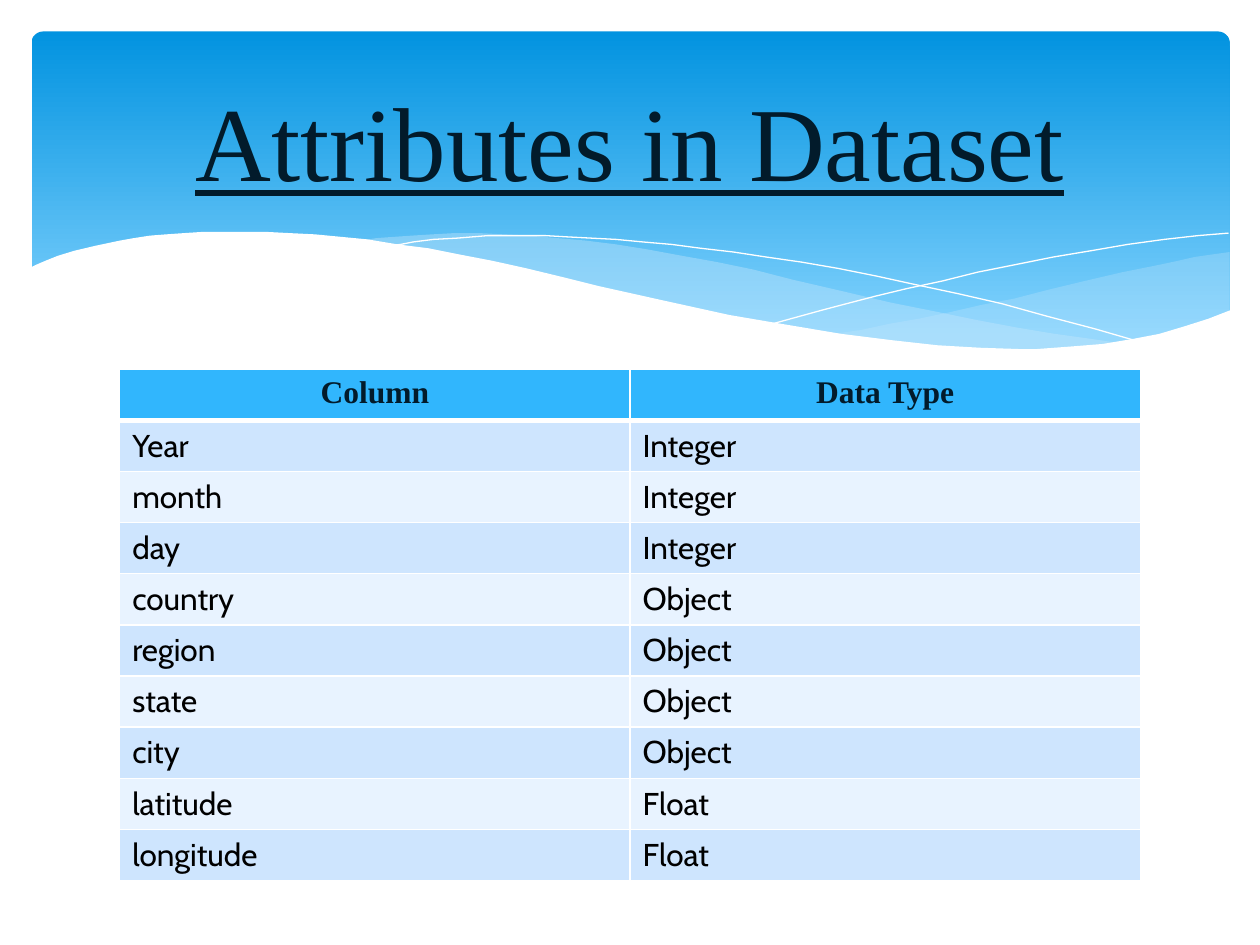
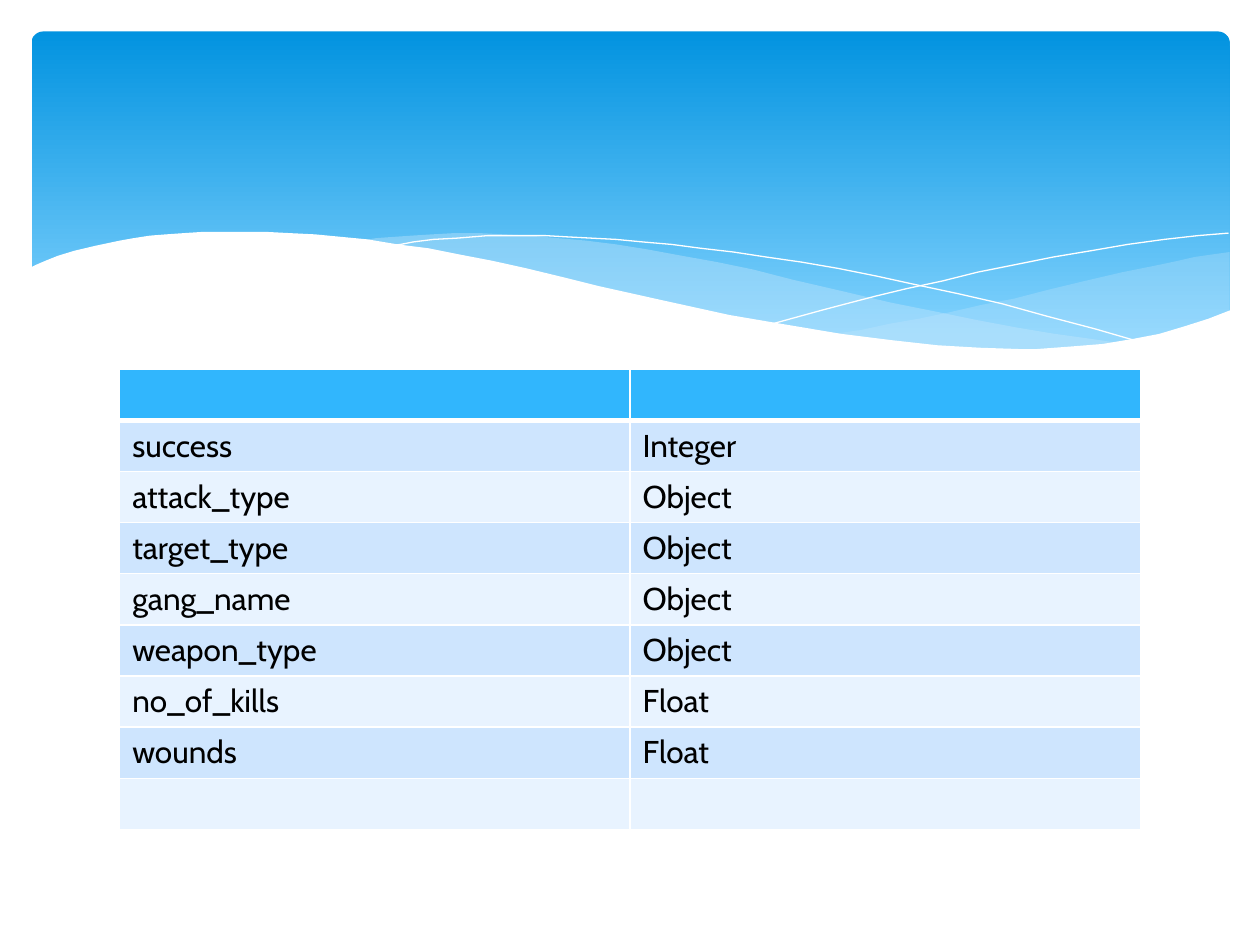
from lxml.etree import SubElement
from pptx import Presentation
from pptx.dml.color import RGBColor
from pptx.enum.shapes import MSO_SHAPE
from pptx.enum.text import MSO_ANCHOR, PP_ALIGN
from pptx.oxml.ns import qn
from pptx.util import Inches, Pt

# Content: title, header row and body rows of each slide
SLIDES = [
    {
        "title": "Attributes in Dataset",
        "header": ("Column", "Data Type"),
        "rows": [
            ("Year", "Integer"), ("month", "Integer"), ("day", "Integer"),
            ("country", "Object"), ("region", "Object"), ("state", "Object"),
            ("city", "Object"), ("latitude", "Float"), ("longitude", "Float"),
        ],
    },
    {
        "title": "",
        "header": ("", ""),
        "rows": [
            ("success", "Integer"), ("attack_type", "Object"),
            ("target_type", "Object"), ("gang_name", "Object"),
            ("weapon_type", "Object"), ("no_of_kills", "Float"),
            ("wounds", "Float"), ("", ""),
        ],
    },
]

# Shared look
COLORS = {
    "band_top": "0293E0", "band_bottom": "83D3FE", "wave": "C6E7FC",
    "white": "FFFFFF", "navy": "021B2B", "text": "000000",
    "header": "31B6FD", "odd_row": "CEE5FE", "even_row": "E8F3FF",
}
HEAD_FONT, BODY_FONT = "Times New Roman", "Cabin"
TABLE_LEFT, TABLE_TOP, COL_W, ROW_H = 0.95, 2.93, 4.05, 0.406

# Wave outlines in inches
RIGHT_WAVE = [
    (9.76, 2), (9.62, 2.02), (9.48, 2.04), (9.35, 2.07), (9.21, 2.1),
    (9.06, 2.13), (8.91, 2.16), (8.61, 2.23), (8.32, 2.3), (8.05, 2.37),
    (7.79, 2.42), (7.53, 2.48), (7.29, 2.53), (7.06, 2.57), (6.83, 2.62),
    (6.61, 2.65), (6.91, 2.69), (7.19, 2.72), (7.45, 2.75), (7.69, 2.77),
    (8.03, 2.78), (8.35, 2.77), (8.63, 2.75), (8.89, 2.72), (9.13, 2.67),
    (9.35, 2.62), (9.49, 2.57), (9.63, 2.52), (9.76, 2.47),
]
MIDDLE_WAVE = [
    (8.93, 2.73), (8.66, 2.69), (8.37, 2.65), (8.07, 2.6), (7.75, 2.54),
    (7.41, 2.47), (7.06, 2.4), (6.68, 2.31), (6.29, 2.22), (5.98, 2.14),
    (5.69, 2.08), (5.41, 2.03), (5.14, 1.98), (4.89, 1.94), (4.65, 1.91),
    (4.42, 1.89), (4.2, 1.87), (3.99, 1.86), (3.8, 1.85), (3.61, 1.85),
    (3.44, 1.86), (3.28, 1.87), (3.13, 1.88), (2.99, 1.89), (2.86, 1.91),
    (3.23, 1.96), (3.62, 2.03), (4.04, 2.11), (4.49, 2.22), (4.91, 2.32),
    (5.3, 2.4), (5.66, 2.48), (6.01, 2.55), (6.34, 2.61), (6.65, 2.66),
    (6.95, 2.7), (7.22, 2.74), (7.48, 2.76), (7.73, 2.77), (7.96, 2.78),
    (8.28, 2.78), (8.57, 2.77), (8.76, 2.75), (8.93, 2.73),
]
FALLING_LINE = [
    (3.09, 1.95), (3.18, 1.94), (3.28, 1.92), (3.44, 1.9), (3.63, 1.89),
    (3.87, 1.87), (4.16, 1.87), (4.33, 1.87), (4.5, 1.88), (4.69, 1.89),
    (4.89, 1.9), (5.1, 1.92), (5.33, 1.94), (5.56, 1.97), (5.82, 2),
    (6.08, 2.04), (6.36, 2.08), (6.65, 2.13), (6.95, 2.19), (7.27, 2.26),
    (7.6, 2.33), (7.95, 2.41), (8.31, 2.51), (8.69, 2.61), (9.07, 2.72),
]
RISING_LINE = [
    (6.13, 2.57), (6.24, 2.54), (6.53, 2.46), (6.72, 2.41), (6.95, 2.35),
    (7.2, 2.29), (7.48, 2.23), (7.76, 2.16), (8.06, 2.1), (8.36, 2.04),
    (8.66, 1.99), (8.95, 1.94), (9.24, 1.9), (9.51, 1.87), (9.75, 1.85),
]
FRONT_WAVE = [
    (9.77, 2.46), (9.59, 2.53), (9.4, 2.59), (9.2, 2.65), (8.99, 2.69),
    (8.75, 2.73), (8.5, 2.75), (8.23, 2.77), (8.09, 2.77), (7.78, 2.76),
    (7.44, 2.74), (7.08, 2.7), (6.68, 2.65), (6.26, 2.58), (5.79, 2.5),
    (5.29, 2.39), (4.75, 2.27), (4.47, 2.2), (4.18, 2.13), (3.91, 2.07),
    (3.65, 2.02), (3.4, 1.97), (3.16, 1.94), (2.92, 1.9), (2.71, 1.88),
    (2.5, 1.86), (2.3, 1.85), (2.11, 1.84), (1.77, 1.84), (1.61, 1.84),
    (1.46, 1.85), (1.32, 1.86), (1.19, 1.87), (1.06, 1.89), (0.95, 1.91),
    (0.76, 1.95), (0.59, 1.99), (0.46, 2.03), (0.36, 2.07), (0.29, 2.1),
    (0.23, 2.13), (0.23, 3.29), (9.77, 3.29),
]
# Outline, fill colour, opacity in percent; a wave without fill is a hairline
WAVES = [
    (RIGHT_WAVE, "wave", 29), (MIDDLE_WAVE, "wave", 40),
    (FALLING_LINE, None, 100), (RISING_LINE, None, 100),
    (FRONT_WAVE, "white", 100),
]


def rgb(name):
    return RGBColor.from_string(COLORS[name])


def add_run(p, text, font, size, color, bold=False, underline=False):
    r = p.add_run()
    r.text = text
    r.font.name, r.font.size = font, Pt(size)
    r.font.bold, r.font.underline = bold, underline
    r.font.color.rgb = rgb(color)


def add_wave(s, points, fill, opacity):
    points = [(Inches(x), Inches(y)) for x, y in points]
    fb = s.shapes.build_freeform(*points[0])
    fb.add_line_segments(points[1:], close=fill is not None)
    sp = fb.convert_to_shape()
    sp.shadow.inherit = False
    if fill is None:
        sp.fill.background()
        sp.line.color.rgb = rgb("white")
        sp.line.width = Pt(0)
        return
    sp.fill.solid()
    sp.fill.fore_color.rgb = rgb(fill)
    sp.line.fill.background()
    if opacity < 100:
        color = sp._element.spPr.find(qn("a:solidFill"))[0]
        SubElement(color, qn("a:alpha"), val=str(opacity * 1000))


def add_band(s):
    sp = s.shapes.add_shape(MSO_SHAPE.ROUNDED_RECTANGLE, Inches(0.25),
                            Inches(0.25), Inches(9.51), Inches(2.7))
    sp.adjustments[0] = 0.034
    sp.shadow.inherit = False
    sp.line.fill.background()
    sp.fill.gradient()
    sp.fill.gradient_angle = 270
    stops = zip(sp.fill.gradient_stops, ("band_top", "band_bottom"), (0, 0.9))
    for stop, color, position in stops:
        stop.color.rgb = rgb(color)
        stop.position = position
    for wave in WAVES:
        add_wave(s, *wave)


def add_title(s, text):
    tf = s.shapes.add_textbox(Inches(0.5), Inches(0.42),
                              Inches(9), Inches(1.37)).text_frame
    tf.word_wrap = True
    tf.vertical_anchor = MSO_ANCHOR.MIDDLE
    p = tf.paragraphs[0]
    p.alignment = PP_ALIGN.CENTER
    add_run(p, text, HEAD_FONT, 60, "navy", underline=True)


def style_cell(cell, fill, bottom):
    tcPr = cell._tc.get_or_add_tcPr()
    for side, width in (("L", 1), ("R", 1), ("T", 1), ("B", bottom)):
        ln = SubElement(tcPr, qn(f"a:ln{side}"), w=str(Pt(width)))
        SubElement(SubElement(ln, qn("a:solidFill")), qn("a:srgbClr"),
                   val=COLORS["white"])
    cell.fill.solid()
    cell.fill.fore_color.rgb = rgb(fill)


def add_attribute_table(s, header, body):
    rows = [header] + body
    table = s.shapes.add_table(
        len(rows), len(header), Inches(TABLE_LEFT), Inches(TABLE_TOP),
        Inches(COL_W * len(header)), Inches(ROW_H * len(rows))).table
    table.first_row = table.horz_banding = False
    for col in table.columns:
        col.width = Inches(COL_W)
    for i, values in enumerate(rows):
        table.rows[i].height = Inches(ROW_H)
        is_header = i == 0
        fill = "header" if is_header else "odd_row" if i % 2 else "even_row"
        for j, text in enumerate(values):
            cell = table.cell(i, j)
            # The rule below the header is shared with the first body row
            style_cell(cell, fill, 3 if is_header else 1)
            if i == 1:
                cell._tc.tcPr.find(qn("a:lnT")).set("w", str(Pt(3)))
            if not text:
                continue
            p = cell.text_frame.paragraphs[0]
            if is_header:
                p.alignment = PP_ALIGN.CENTER
                add_run(p, text, HEAD_FONT, 18, "navy", bold=True)
            else:
                add_run(p, text, BODY_FONT, 18, "text")


def main():
    prs = Presentation()
    prs.slide_width, prs.slide_height = Inches(10), Inches(7.5)
    for content in SLIDES:
        s = prs.slides.add_slide(prs.slide_layouts[6])
        add_band(s)
        add_attribute_table(s, content["header"], content["rows"])
        if content["title"]:
            add_title(s, content["title"])
    prs.save("out.pptx")


if __name__ == "__main__":
    main()
